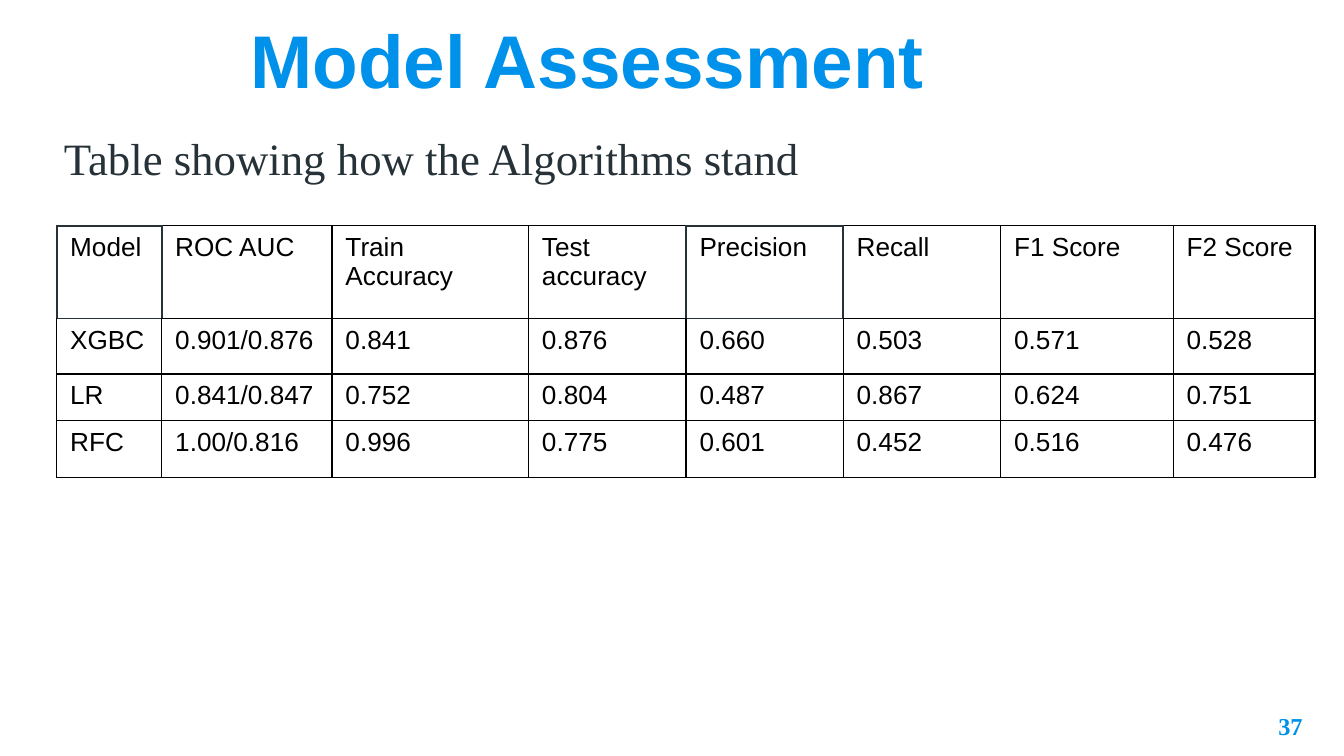
from lxml import etree
from pptx import Presentation
from pptx.dml.color import RGBColor
from pptx.enum.text import MSO_ANCHOR, MSO_AUTO_SIZE, PP_ALIGN
from pptx.oxml.ns import qn
from pptx.util import Pt

LEFT, RIGHT = PP_ALIGN.LEFT, PP_ALIGN.RIGHT
TOP, BOTTOM = MSO_ANCHOR.TOP, MSO_ANCHOR.BOTTOM
NO_AUTOFIT = MSO_AUTO_SIZE.NONE

BLUE, SLATE, BLACK = "0091EA", "263238", "000000"

TITLE = "Model Assessment"
SUBTITLE = "Table showing how the Algorithms stand"
PAGE_NUMBER = "37"
ROWS = [
    ["Model", "ROC AUC", "Train Accuracy", "Test accuracy",
     "Precision", "Recall", "F1 Score", "F2 Score"],
    ["XGBC", "0.901/0.876", "0.841", "0.876", "0.660", "0.503", "0.571", "0.528"],
    ["LR", "0.841/0.847", "0.752", "0.804", "0.487", "0.867", "0.624", "0.751"],
    ["RFC", "1.00/0.816", "0.996", "0.775", "0.601", "0.452", "0.516", "0.476"],
]
COLUMN_WIDTHS = [56.3, 91.2, 105.3, 84.4, 84.2, 84.4, 92.4, 76]
ROW_HEIGHTS = [49.7, 29.7, 25, 30.3]
TABLE_LEFT, TABLE_TOP = 30.4, 121
SLATE_HEADERS = {"Model", "Precision"}

TITLE_FORMAT = {"name": "Arial", "size": Pt(40), "bold": True}
SUBTITLE_FORMAT = {"name": "Times New Roman", "size": Pt(24), "bold": False}
NUMBER_FORMAT = {"name": "Times New Roman", "size": Pt(13), "bold": True}
CELL_FORMAT = {"name": "Arial", "size": Pt(14), "bold": False}


def set_color(color_format, hex_color):
    color_format.rgb = RGBColor.from_string(hex_color)


def write(text_frame, text, font_format, hex_color, alignment=LEFT):
    text_frame.text = text
    paragraph = text_frame.paragraphs[0]
    paragraph.alignment = alignment
    font = paragraph.runs[0].font
    for name, value in font_format.items():
        setattr(font, name, value)
    set_color(font.color, hex_color)
    return paragraph


def place(shape, left, top, width, height, anchor=TOP, left_inset=7.2):
    """Position a text shape and set its insets and anchor."""
    shape.left, shape.top = Pt(left), Pt(top)
    shape.width, shape.height = Pt(width), Pt(height)
    frame_format = {
        "margin_left": Pt(left_inset), "margin_right": Pt(7.2),
        "margin_top": Pt(7.2), "margin_bottom": Pt(7.2),
        "vertical_anchor": anchor, "word_wrap": True, "auto_size": NO_AUTOFIT,
    }
    for name, value in frame_format.items():
        setattr(shape.text_frame, name, value)


def remove_bullet(paragraph, left_margin):
    properties = paragraph._p.get_or_add_pPr()
    properties.set("marL", str(Pt(left_margin)))
    properties.set("indent", "0")
    etree.SubElement(properties, qn("a:buNone"))


def add_border(cell, side, hex_color, width):
    line = etree.SubElement(cell._tc.get_or_add_tcPr(), qn(f"a:ln{side}"), w=str(Pt(width)))
    fill = etree.SubElement(line, qn("a:solidFill"))
    etree.SubElement(fill, qn("a:srgbClr"), val=hex_color)


def edge_is_slate(row, column, side):
    """Tell whether a cell side touches one of the slate-framed headers."""
    touching = [(row, column)]
    row_step, column_step = {"L": (0, -1), "R": (0, 1), "T": (-1, 0), "B": (1, 0)}[side]
    touching.append((row + row_step, column + column_step))
    return any(r == 0 and 0 <= c < len(ROWS[0]) and ROWS[0][c] in SLATE_HEADERS
               for r, c in touching)


def add_scores_table(slide):
    table = slide.shapes.add_table(
        len(ROWS), len(ROWS[0]), Pt(TABLE_LEFT), Pt(TABLE_TOP),
        Pt(sum(COLUMN_WIDTHS)), Pt(sum(ROW_HEIGHTS))).table
    table.first_row = table.horz_banding = False
    for column, width in zip(table.columns, COLUMN_WIDTHS):
        column.width = Pt(width)
    for row, height in zip(table.rows, ROW_HEIGHTS):
        row.height = Pt(height)
    for r, values in enumerate(ROWS):
        for c, value in enumerate(values):
            cell = table.cell(r, c)
            write(cell.text_frame, value, CELL_FORMAT, BLACK)
            for side in "LRTB":
                border = (SLATE, 1) if edge_is_slate(r, c, side) else (BLACK, 0.75)
                add_border(cell, side, *border)
            cell.fill.background()


def main():
    presentation = Presentation()
    presentation.slide_width, presentation.slide_height = Pt(720), Pt(405)
    slide = presentation.slides.add_slide(presentation.slide_layouts[1])

    title, body = slide.shapes.title, slide.placeholders[1]
    place(title, 30.2, 8, 628, 54.7, BOTTOM, left_inset=104)
    write(title.text_frame, TITLE, TITLE_FORMAT, BLUE)

    place(body, 21, 62.6, 690, 322)
    paragraph = write(body.text_frame, SUBTITLE, SUBTITLE_FORMAT, SLATE)
    paragraph.space_before = Pt(6)
    remove_bullet(paragraph, 6)

    page_number = slide.shapes.add_textbox(0, 0, 0, 0)
    place(page_number, 661.7, 373.7, 43.2, 31)
    write(page_number.text_frame, PAGE_NUMBER, NUMBER_FORMAT, BLUE, RIGHT)

    add_scores_table(slide)
    presentation.save("out.pptx")


if __name__ == "__main__":
    main()
